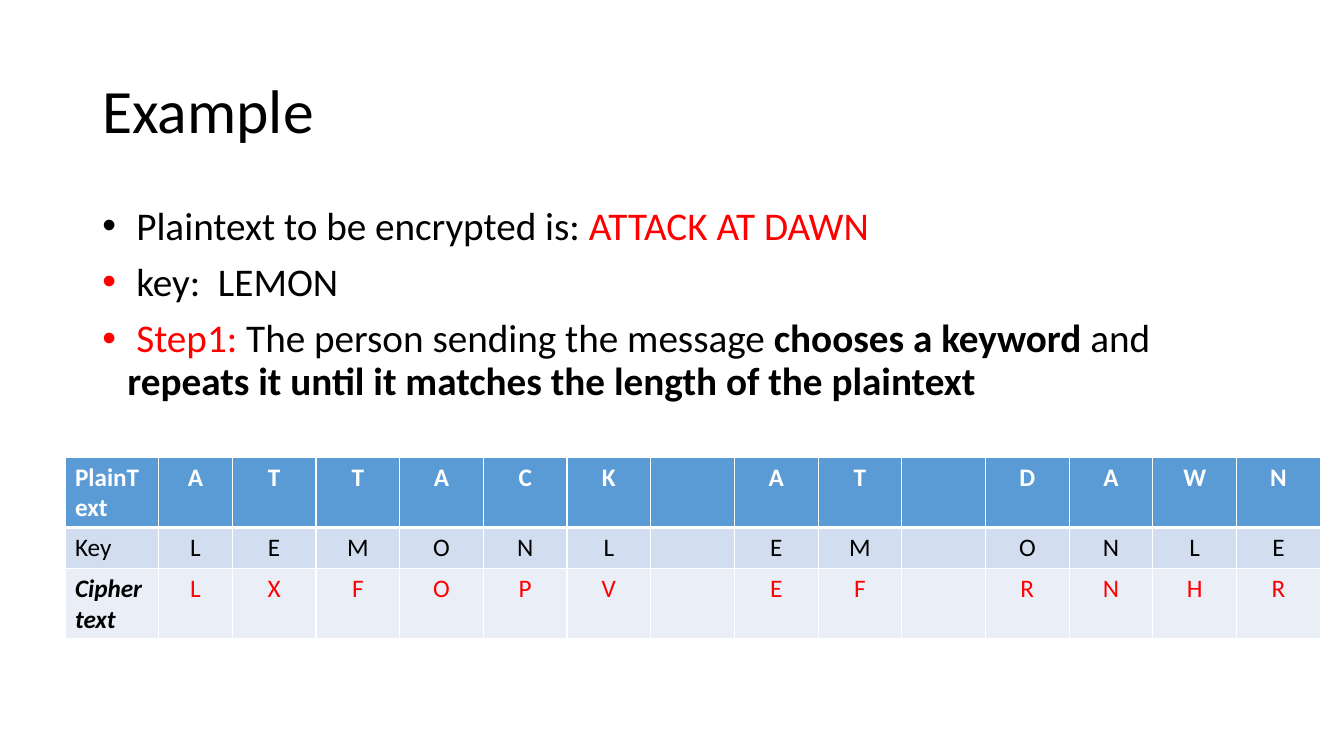
from lxml.etree import SubElement
from pptx import Presentation
from pptx.dml.color import RGBColor
from pptx.enum.text import MSO_ANCHOR, PP_ALIGN
from pptx.oxml.ns import qn
from pptx.util import Pt

BLACK = RGBColor(0x00, 0x00, 0x00)
WHITE = RGBColor(0xFF, 0xFF, 0xFF)
RED = RGBColor(0xFF, 0x00, 0x00)
HEADER_BLUE = RGBColor(0x5B, 0x9B, 0xD5)
BAND_BLUE = RGBColor(0xD2, 0xDE, 0xEF)
PALE_BLUE = RGBColor(0xEA, 0xEF, 0xF7)

FONT = "Calibri"
LABEL_WIDTH, FIRST_LETTER_WIDTH, LETTER_WIDTH = 67, 52.5, 59.8
ROW_HEIGHT = 29.2

BULLETS = [
    [(" Plaintext to be encrypted is: ", BLACK, False),
     ("ATTACK AT DAWN", RED, False)],
    [(" ", RED, False), ("key:  LEMON", BLACK, False)],
    [(" Step1: ", RED, False),
     ("The person sending the message ", BLACK, False),
     ("chooses a keyword ", BLACK, True),
     ("and ", BLACK, False),
     ("repeats it until it matches the length of the plaintext", BLACK, True)],
]

# label, letters, fill, label colour, letter colour, label bold, letters bold, label italic
CIPHER_ROWS = [
    ("PlainText", "ATTACK AT DAWN", HEADER_BLUE, WHITE, WHITE, True, True, False),
    ("Key", "LEMONL EM ONLE", BAND_BLUE, BLACK, BLACK, False, False, False),
    ("Ciphertext", "LXFOPV EF RNHR", PALE_BLUE, BLACK, RED, True, False, True),
]


def add_run(paragraph, text, size, color, bold=False, italic=False):
    """Add one formatted run to a paragraph."""
    run = paragraph.add_run()
    run.text = text
    run.font.name = FONT
    run.font.size = Pt(size)
    run.font.color.rgb = color
    run.font.bold = bold
    run.font.italic = italic


def add_text_frame(slide, left, top, width, height, anchor):
    """Add a wrapping text box and return its text frame."""
    box = slide.shapes.add_textbox(Pt(left), Pt(top), Pt(width), Pt(height))
    text_frame = box.text_frame
    text_frame.word_wrap = True
    text_frame.vertical_anchor = anchor
    return text_frame


def add_title(slide, text):
    """Add the slide title."""
    text_frame = add_text_frame(slide, 66, 28.8, 828, 104.4, MSO_ANCHOR.MIDDLE)
    paragraph = text_frame.paragraphs[0]
    paragraph.line_spacing = 0.9
    add_run(paragraph, text, 44, BLACK)


def set_bullet(paragraph):
    """Give a paragraph a round bullet with a hanging indent."""
    properties = paragraph._p.get_or_add_pPr()
    properties.set("marL", str(Pt(18)))
    properties.set("indent", str(Pt(-18)))
    SubElement(properties, qn("a:buFont"), typeface="Arial")
    SubElement(properties, qn("a:buChar"), char="•")


def add_bullets(slide, bullets):
    """Add the bulleted list, one paragraph per list of runs."""
    text_frame = add_text_frame(slide, 66, 143.8, 828, 342.6, MSO_ANCHOR.TOP)
    for index, runs in enumerate(bullets):
        paragraph = text_frame.add_paragraph() if index else text_frame.paragraphs[0]
        paragraph.line_spacing = 0.9
        paragraph.space_before = Pt(10)
        set_bullet(paragraph)
        for text, color, bold in runs:
            add_run(paragraph, text, 28, color, bold)


def set_borders(cell, top_width, bottom_width):
    """Draw white borders around a cell."""
    properties = cell._tc.get_or_add_tcPr()
    widths = {"lnL": 1, "lnR": 1, "lnT": top_width, "lnB": bottom_width}
    for side, width in widths.items():
        line = SubElement(properties, qn(f"a:{side}"), w=str(Pt(width)))
        fill = SubElement(line, qn("a:solidFill"))
        SubElement(fill, qn("a:srgbClr"), val=str(WHITE))


def add_cipher_table(slide, rows):
    """Add the table with a label column and one column per letter."""
    letter_count = len(rows[0][1])
    widths = [LABEL_WIDTH, FIRST_LETTER_WIDTH] + [LETTER_WIDTH] * (letter_count - 1)
    frame = slide.shapes.add_table(
        len(rows), len(widths), Pt(46.4), Pt(326.4),
        Pt(sum(widths)), Pt(ROW_HEIGHT * len(rows)))
    table = frame.table
    for column, width in zip(table.columns, widths):
        column.width = Pt(width)
    for row_index, row in enumerate(rows):
        label, letters, fill, label_color, letter_color, label_bold, letter_bold, italic = row
        table.rows[row_index].height = Pt(ROW_HEIGHT)
        for column_index, text in enumerate([label, *letters]):
            cell = table.cell(row_index, column_index)
            set_borders(cell, 3 if row_index == 1 else 1, 3 if row_index == 0 else 1)
            cell.fill.solid()
            cell.fill.fore_color.rgb = fill
            paragraph = cell.text_frame.paragraphs[0]
            if column_index == 0:
                add_run(paragraph, text, 18, label_color, label_bold, italic)
            elif text != " ":
                paragraph.alignment = PP_ALIGN.CENTER
                add_run(paragraph, text, 18, letter_color, letter_bold)


def main():
    """Build the cipher example slide and save it."""
    presentation = Presentation()
    presentation.slide_width = Pt(960)
    presentation.slide_height = Pt(540)
    slide = presentation.slides.add_slide(presentation.slide_layouts[6])
    add_title(slide, "Example")
    add_bullets(slide, BULLETS)
    add_cipher_table(slide, CIPHER_ROWS)
    presentation.save("out.pptx")


main()
